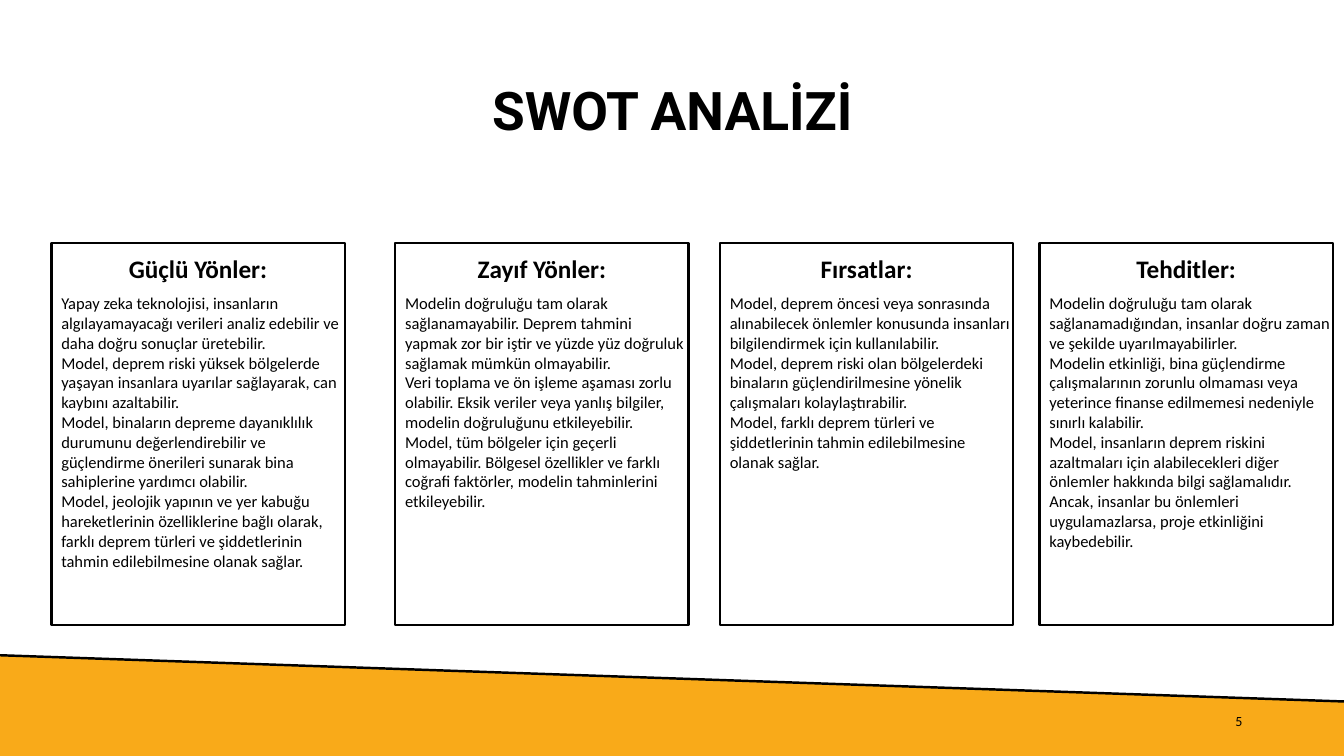
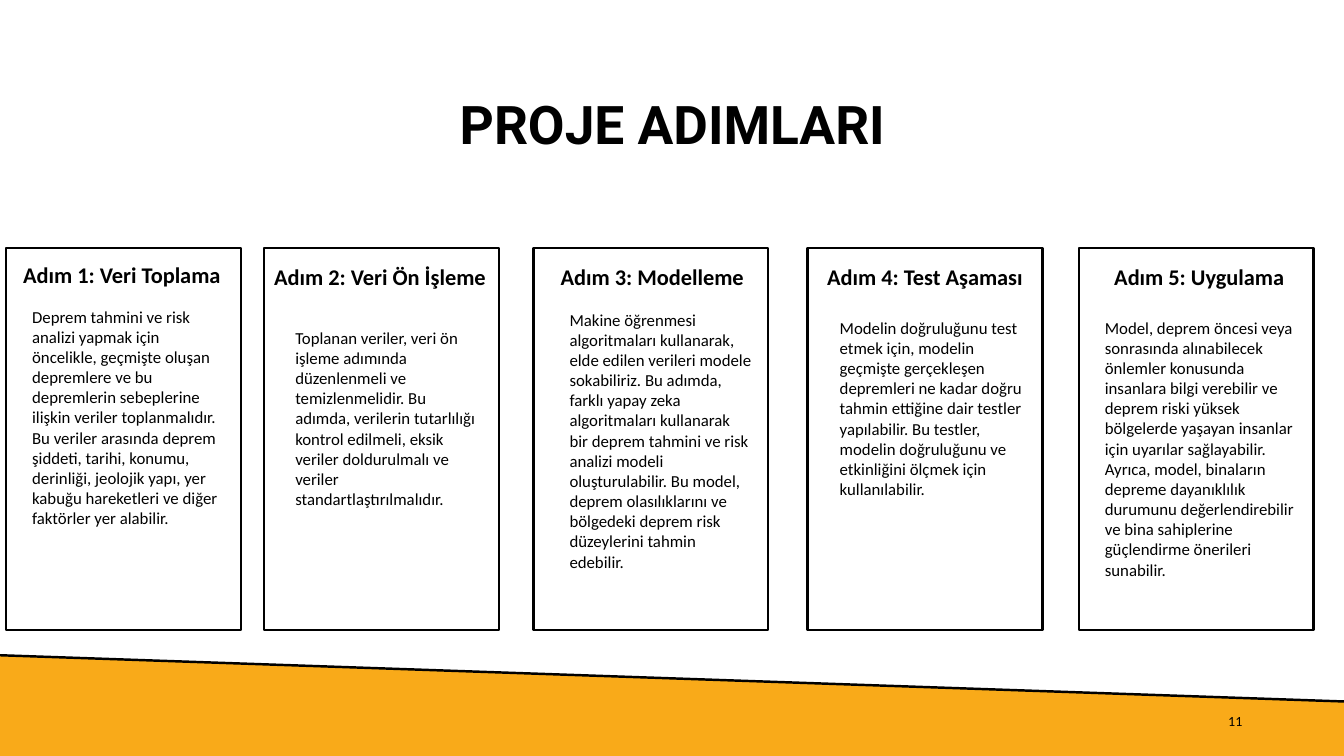
"""Build the SWOT and project step slides of an earthquake forecast deck."""
from pptx import Presentation
from pptx.dml.color import RGBColor
from pptx.enum.shapes import MSO_CONNECTOR, MSO_SHAPE
from pptx.enum.text import MSO_ANCHOR, PP_ALIGN
from pptx.oxml.ns import qn
from pptx.util import Inches, Pt
from lxml import etree

LEFT, CENTER, RIGHT = PP_ALIGN.LEFT, PP_ALIGN.CENTER, PP_ALIGN.RIGHT
TOP, MIDDLE = MSO_ANCHOR.TOP, MSO_ANCHOR.MIDDLE
RECT = MSO_SHAPE.RECTANGLE
STRAIGHT = MSO_CONNECTOR.STRAIGHT

COLORS = {"ink": "000000", "band": "F9AA19"}
BODY_FONT, TITLE_FONT = "Calibri", "Roboto"
RULE = 1.75
CARD_H = 3.79
SLOPE = [(-0.01, 6.5), (13.35, 6.96)]
BASE = [(13.35, 7.53), (-0.01, 7.5)]

SWOT = [
    (0.51, "Güçlü Yönler:", [
        "Yapay zeka teknolojisi, insanların algılayamayacağı verileri analiz edebilir ve daha doğru sonuçlar üretebilir.",
        "Model, deprem riski yüksek bölgelerde yaşayan insanlara uyarılar sağlayarak, can kaybını azaltabilir.",
        "Model, binaların depreme dayanıklılık durumunu değerlendirebilir ve güçlendirme önerileri sunarak bina sahiplerine yardımcı olabilir.",
        "Model, jeolojik yapının ve yer kabuğu hareketlerinin özelliklerine bağlı olarak, farklı deprem türleri ve şiddetlerinin tahmin edilebilmesine olanak sağlar.",
    ]),
    (3.92, "Zayıf Yönler:", [
        "Modelin doğruluğu tam olarak sağlanamayabilir. Deprem tahmini yapmak zor bir iştir ve yüzde yüz doğruluk sağlamak mümkün olmayabilir.",
        "Veri toplama ve ön işleme aşaması zorlu olabilir. Eksik veriler veya yanlış bilgiler, modelin doğruluğunu etkileyebilir.",
        "Model, tüm bölgeler için geçerli olmayabilir. Bölgesel özellikler ve farklı coğrafi faktörler, modelin tahminlerini etkileyebilir.",
    ]),
    (7.14, "Fırsatlar:", [
        "Model, deprem öncesi veya sonrasında alınabilecek önlemler konusunda insanları bilgilendirmek için kullanılabilir.",
        "Model, deprem riski olan bölgelerdeki binaların güçlendirilmesine yönelik çalışmaları kolaylaştırabilir.",
        "Model, farklı deprem türleri ve şiddetlerinin tahmin edilebilmesine olanak sağlar.",
    ]),
    (10.31, "Tehditler:", [
        "Modelin doğruluğu tam olarak sağlanamadığından, insanlar doğru zaman ve şekilde uyarılmayabilirler.",
        "Modelin etkinliği, bina güçlendirme çalışmalarının zorunlu olmaması veya yeterince finanse edilmemesi nedeniyle sınırlı kalabilir.",
        "Model, insanların deprem riskini azaltmaları için alabilecekleri diğer önlemler hakkında bilgi sağlamalıdır. Ancak, insanlar bu önlemleri uygulamazlarsa, proje etkinliğini kaybedebilir.",
    ]),
]

STEPS = [
    (0.06, "Adım 1: Veri Toplama", (0.03, 2.54, 2.36, 0.37), (0.22, 2.99, 2.09, 2.52),
     "Deprem tahmini ve risk analizi yapmak için öncelikle, geçmişte oluşan depremlere ve bu depremlerin sebeplerine ilişkin veriler toplanmalıdır. Bu veriler arasında deprem şiddeti, tarihi, konumu, derinliği, jeolojik yapı, yer kabuğu hareketleri ve diğer faktörler yer alabilir."),
    (2.62, "Adım 2: Veri Ön İşleme", (2.6, 2.56, 2.34, 0.37), (2.83, 3.2, 2.01, 1.92),
     "Toplanan veriler, veri ön işleme adımında düzenlenmeli ve temizlenmelidir. Bu adımda, verilerin tutarlılığı kontrol edilmeli, eksik veriler doldurulmalı ve veriler standartlaştırılmalıdır."),
    (5.29, "Adım 3: Modelleme", (5.31, 2.56, 2.32, 0.37), (5.55, 3.02, 2.01, 2.93),
     "Makine öğrenmesi algoritmaları kullanarak, elde edilen verileri modele sokabiliriz. Bu adımda, farklı yapay zeka algoritmaları kullanarak bir deprem tahmini ve risk analizi modeli oluşturulabilir. Bu model, deprem olasılıklarını ve bölgedeki deprem risk düzeylerini tahmin edebilir."),
    (8.01, "Adım 4: Test Aşaması", (8.01, 2.56, 2.33, 0.37), (8.23, 3.1, 2.01, 2.12),
     "Modelin doğruluğunu test etmek için, modelin geçmişte gerçekleşen depremleri ne kadar doğru tahmin ettiğine dair testler yapılabilir. Bu testler, modelin doğruluğunu ve etkinliğini ölçmek için kullanılabilir."),
    (10.7, "Adım 5: Uygulama", (10.73, 2.56, 2.33, 0.37), (10.86, 3.1, 2.17, 2.93),
     "Model, deprem öncesi veya sonrasında alınabilecek önlemler konusunda insanlara bilgi verebilir ve deprem riski yüksek bölgelerde yaşayan insanlar için uyarılar sağlayabilir. Ayrıca, model, binaların depreme dayanıklılık durumunu değerlendirebilir ve bina sahiplerine güçlendirme önerileri sunabilir."),
]


def color(name):
    """Return a palette colour."""
    return RGBColor.from_string(COLORS[name])


def inches(values):
    """Turn numbers into lengths."""
    return [Inches(value) for value in values]


def add_text(slide, box, lines, size, align=LEFT, bold=False,
             font=BODY_FONT, anchor=TOP, space=None):
    """Add a wrapped text box with one paragraph per line."""
    frame = slide.shapes.add_textbox(*inches(box)).text_frame
    frame.word_wrap = True
    frame.vertical_anchor = anchor
    frame.text = "\n".join(lines)
    for para in frame.paragraphs:
        para.alignment = align
        para.line_spacing = space
        for run in para.runs:
            run.font.name = font
            run.font.size = Pt(size)
            run.font.bold = bold
            run.font.color.rgb = color("ink")


def add_band(slide):
    """Add the sloping footer band and its edge line."""
    start, *rest = [inches(point) for point in SLOPE + BASE]
    builder = slide.shapes.build_freeform(*start)
    builder.add_line_segments(rest, close=True)
    band = builder.convert_to_shape()
    band.shadow.inherit = False
    band.fill.solid()
    band.fill.fore_color.rgb = color("band")
    band.line.fill.background()
    edge = slide.shapes.add_connector(STRAIGHT, *start, *rest[0])
    edge.line.color.rgb = color("ink")
    edge.line.width = Pt(RULE)
    etree.SubElement(edge.element.spPr, qn("a:effectLst"))


def add_frame(slide, left, top, width):
    """Add the outline of a card."""
    frame = slide.shapes.add_shape(RECT, *inches((left, top, width, CARD_H)))
    frame.shadow.inherit = False
    frame.fill.background()
    frame.line.color.rgb = color("ink")
    frame.line.width = Pt(RULE)


def add_slide(deck, title, top, number):
    """Add a slide with band, title and page number."""
    slide = deck.slides.add_slide(deck.slide_layouts[6])
    add_band(slide)
    add_text(slide, (0.92, top, 11.5, 1.45), [title], 38, CENTER, True,
             TITLE_FONT, MIDDLE, 0.9)
    add_text(slide, (9.42, 6.95, 3, 0.4), [number], 10, RIGHT, anchor=MIDDLE)
    return slide


def add_swot(deck):
    """Add the SWOT slide."""
    slide = add_slide(deck, "SWOT ANALİZİ", 0.4, "5")
    for left, head, lines in SWOT:
        add_frame(slide, left, 2.41, 2.91)
        add_text(slide, (left, 2.46, 2.91, 0.4), [head], 18, CENTER, True)
        add_text(slide, (left, 2.86, 3, 3.28), lines, 11.8)


def add_steps(deck):
    """Add the project steps slide."""
    slide = add_slide(deck, "PROJE ADIMLARI", 0.54, "11")
    for left, head, headbox, bodybox, body in STEPS:
        add_frame(slide, left, 2.46, 2.33)
        add_text(slide, headbox, [head], 16, CENTER, True)
        add_text(slide, bodybox, [body], 12)


def main():
    """Build and save the deck."""
    deck = Presentation()
    deck.slide_width, deck.slide_height = inches((13.33, 7.5))
    add_swot(deck)
    add_steps(deck)
    deck.save("out.pptx")


if __name__ == "__main__":
    main()
